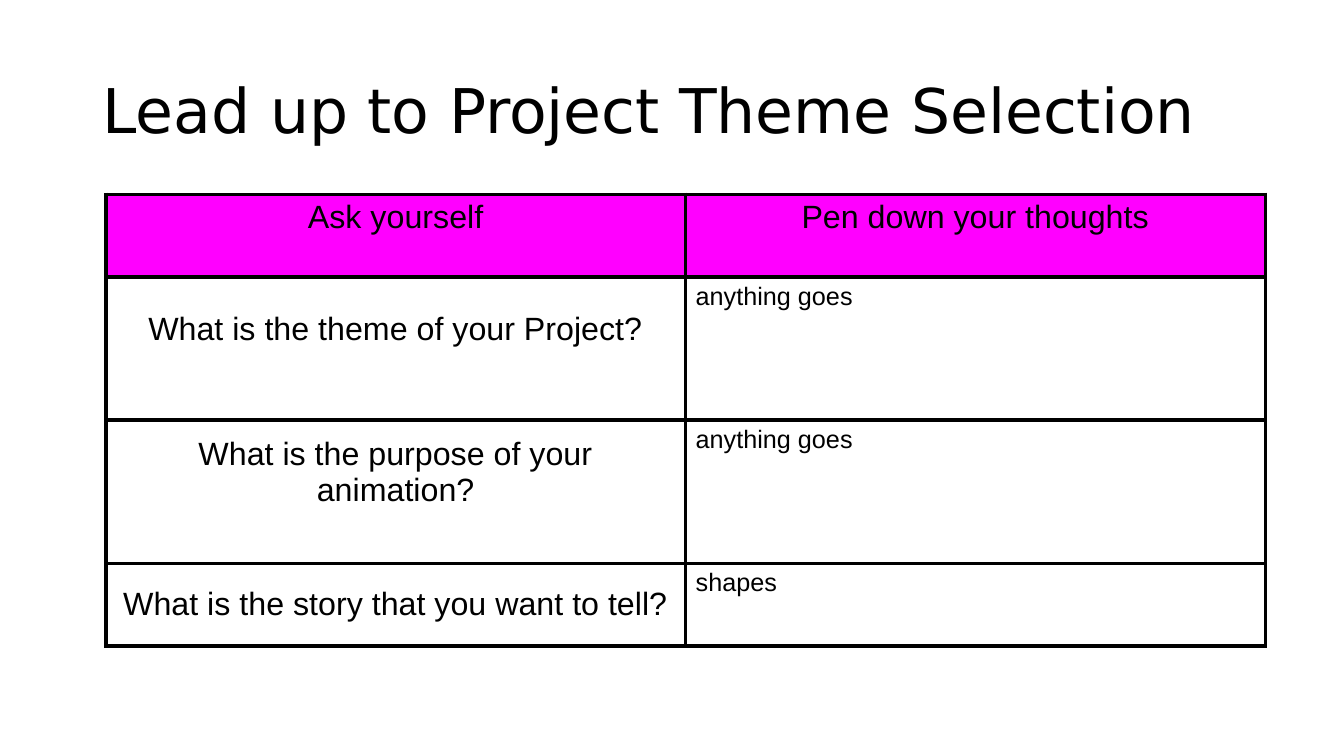
from lxml import etree
from pptx import Presentation
from pptx.dml.color import RGBColor
from pptx.enum.text import MSO_ANCHOR as ANCHOR, PP_ALIGN as ALIGN
from pptx.oxml.ns import qn
from pptx.util import Inches, Pt

COLORS = {"ink": "000000", "header": "FF00FF", "paper": "FFFFFF"}
COL_WIDTH = 5.75
ROW_HEIGHTS = [0.82, 1.42, 1.42, 0.82]
RAISED_MARGIN = 0.43
HEADER = ("Ask yourself", "Pen down your thoughts")
QUESTIONS = [
    ("What is the theme of your Project?", "anything goes", RAISED_MARGIN),
    ("What is the purpose of your animation?", "anything goes", RAISED_MARGIN),
    ("What is the story that you want to tell?", "shapes", 0.05),
]


def rgb(name):
    return RGBColor.from_string(COLORS[name])


def write(tf, text, font, size, align=ALIGN.LEFT):
    p = tf.paragraphs[0]
    p.text = text
    p.alignment = align
    p.font.name = font
    p.font.size = Pt(size)
    p.font.bold = False
    p.font.color.rgb = rgb("ink")
    return p


def set_borders(cell, color, width):
    tc_pr = cell._tc.get_or_add_tcPr()
    for i, side in enumerate(("lnL", "lnR", "lnT", "lnB")):
        ln = etree.Element(qn(f"a:{side}"), w=str(Pt(width)))
        fill = etree.SubElement(ln, qn("a:solidFill"))
        etree.SubElement(fill, qn("a:srgbClr"), val=COLORS[color])
        tc_pr.insert(i, ln)


def fill_cell(cell, text, size, align, fill="paper", anchor=ANCHOR.TOP, bottom=0.05):
    write(cell.text_frame, text, "Arial", size, align)
    cell.vertical_anchor = anchor
    cell.margin_bottom = Inches(bottom)
    cell.fill.solid()
    cell.fill.fore_color.rgb = rgb(fill)
    set_borders(cell, "ink", 3)


def add_title(slide, left, top, width, height):
    sp = slide.shapes.add_textbox(Inches(left), Inches(top), Inches(width), Inches(height))
    tf = sp.text_frame
    tf.word_wrap = True
    tf.vertical_anchor = ANCHOR.MIDDLE
    p = write(tf, "Lead up to Project Theme Selection", "DejaVu Sans", 44)
    p.line_spacing = 0.9


def add_question_table(slide, left, top):
    table = slide.shapes.add_table(
        len(ROW_HEIGHTS), len(HEADER), Inches(left), Inches(top),
        Inches(COL_WIDTH * len(HEADER)), Inches(sum(ROW_HEIGHTS))).table
    table.first_row = table.horz_banding = False
    for column in table.columns:
        column.width = Inches(COL_WIDTH)
    for row, height in zip(table.rows, ROW_HEIGHTS):
        row.height = Inches(height)
    for col, heading in enumerate(HEADER):
        fill_cell(table.cell(0, col), heading, 23, ALIGN.CENTER, fill="header")
    for row, (question, answer, bottom) in enumerate(QUESTIONS, 1):
        fill_cell(table.cell(row, 0), question, 23, ALIGN.CENTER,
                  anchor=ANCHOR.MIDDLE, bottom=bottom)
        fill_cell(table.cell(row, 1), answer, 18, ALIGN.LEFT)


def main():
    prs = Presentation()
    prs.slide_width, prs.slide_height = Inches(13.33), Inches(7.5)
    slide = prs.slides.add_slide(prs.slide_layouts[6])
    add_title(slide, 0.92, 0.4, 11.5, 1.45)
    add_question_table(slide, 1.05, 1.93)
    prs.save("out.pptx")


if __name__ == "__main__":
    main()
